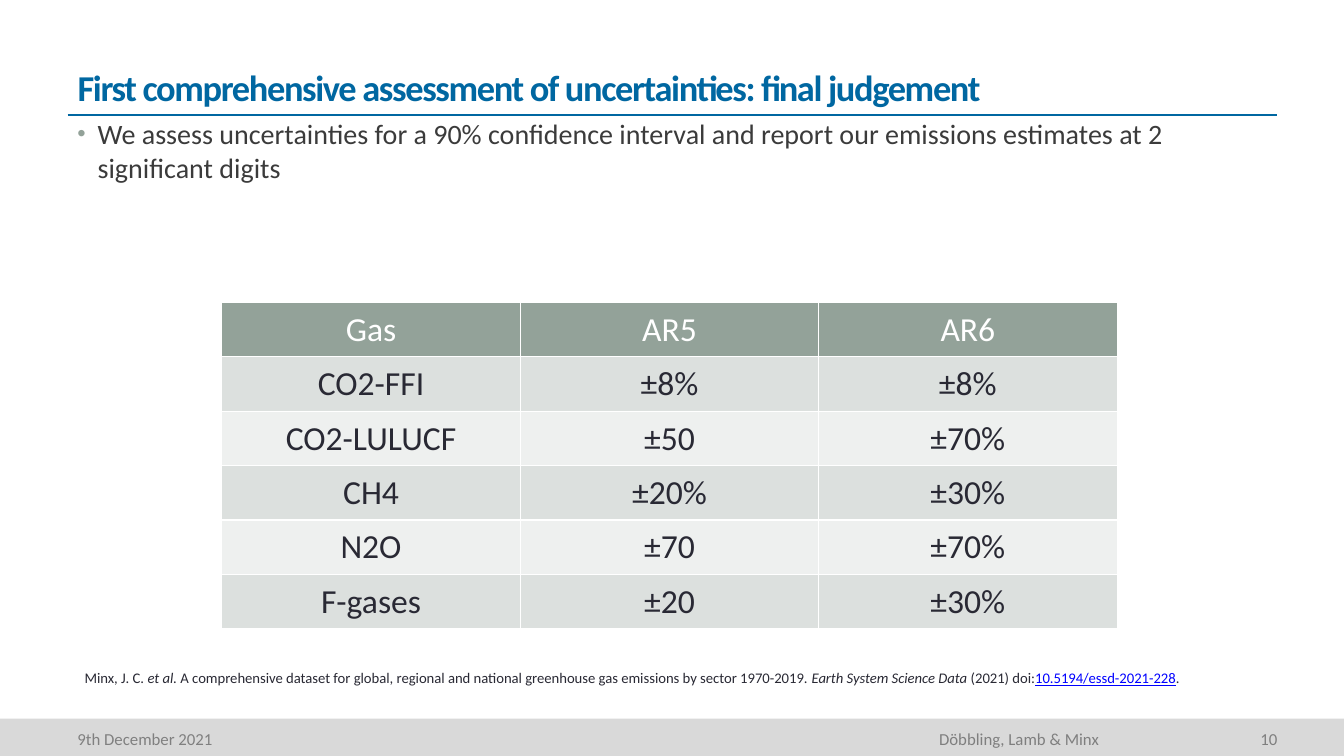
from lxml.etree import SubElement
from pptx import Presentation
from pptx.dml.color import RGBColor
from pptx.enum.shapes import MSO_CONNECTOR, MSO_SHAPE
from pptx.enum.text import MSO_ANCHOR, PP_ALIGN
from pptx.oxml.ns import qn
from pptx.util import Inches, Pt

BLUE, SAGE, INK, GREY = "0067A1", "93A299", "292934", "7F7F7F"
BANDS = ("EEF0EF", "DCE0DE")


def color(code):
    return RGBColor.from_string(code)


def write(para, text, size=12, tint=INK, bold=False, italic=False,
          under=False, track=0, align=PP_ALIGN.LEFT, font="Calibri"):
    para.alignment = align
    run = para.add_run()
    run.text = text
    style = run.font
    style.name, style.size, style.color.rgb = font, Pt(size), color(tint)
    style.bold, style.italic, style.underline = bold, italic, under
    if track:
        run._r.get_or_add_rPr().set("spc", str(track))


def bullet(para, mark, tint, scale, indent):
    props = para._p.get_or_add_pPr()
    props.set("marL", str(Inches(indent)))
    props.set("indent", str(-Inches(indent)))
    shade = SubElement(props, qn("a:buClr"))
    SubElement(shade, qn("a:srgbClr")).set("val", tint)
    SubElement(props, qn("a:buSzPct")).set("val", str(scale * 1000))
    SubElement(props, qn("a:buFont")).set("typeface", "Arial")
    SubElement(props, qn("a:buChar")).set("char", mark)


def border(cell, tint, width):
    props = cell._tc.get_or_add_tcPr()
    for spot, side in enumerate(("a:lnL", "a:lnR", "a:lnT", "a:lnB")):
        line = SubElement(props, qn(side), w=str(Pt(width)))
        fill = SubElement(line, qn("a:solidFill"))
        SubElement(fill, qn("a:srgbClr")).set("val", tint)
        props.insert(spot, line)


class Page:
    def __init__(self, deck):
        self.slide = deck.slides.add_slide(deck.slide_layouts[5])
        self.shapes = self.slide.shapes

    def title(self, text, x, y, w, h):
        box = self.shapes.title
        box.left, box.top, box.width, box.height = map(Inches, (x, y, w, h))
        frame = box.text_frame
        frame.word_wrap = True
        frame.vertical_anchor = MSO_ANCHOR.BOTTOM
        write(frame.paragraphs[0], text, size=26, tint=BLUE, bold=True, track=-100)

    def bar(self, x, y, w, h, fill):
        shape = self.shapes.add_shape(MSO_SHAPE.RECTANGLE, *map(Inches, (x, y, w, h)))
        shape.shadow.inherit = False
        shape.fill.solid()
        shape.fill.fore_color.rgb = color(fill)
        shape.line.fill.background()

    def rule(self, x, y, w, tint):
        line = self.shapes.add_connector(
            MSO_CONNECTOR.STRAIGHT, *map(Inches, (x, y, x + w, y)))
        line.line.color.rgb = color(tint)
        line.line.width = Pt(1)
        SubElement(line._element.spPr, qn("a:effectLst"))

    def text(self, x, y, w, h, anchor=MSO_ANCHOR.TOP, right=0.1, wrap=True):
        frame = self.shapes.add_textbox(*map(Inches, (x, y, w, h))).text_frame
        frame.word_wrap = wrap
        frame.vertical_anchor = anchor
        frame.margin_right = Inches(right)
        return frame.paragraphs[0]

    def table(self, rows, x, y, w, high):
        table = self.shapes.add_table(
            len(rows), len(rows[0]), *map(Inches, (x, y, w, high * len(rows)))).table
        for i, row in enumerate(rows):
            table.rows[i].height = Inches(high)
            for j, value in enumerate(row):
                cell = table.cell(i, j)
                cell.margin_left = cell.margin_right = Inches(0.13)
                cell.margin_top, cell.margin_bottom = Inches(0.07), Inches(0.06)
                cell.fill.solid()
                cell.fill.fore_color.rgb = color(BANDS[i % 2] if i else SAGE)
                border(cell, "FFFFFF", 1)
                write(cell.text_frame.paragraphs[0], value, size=24,
                      tint=INK if i else "FFFFFF", align=PP_ALIGN.CENTER)


def main():
    deck = Presentation()
    deck.slide_width, deck.slide_height = Inches(13.33), Inches(7.5)
    page = Page(deck)

    # Footer
    page.bar(0, 7.13, 13.33, 0.37, "D9D9D9")
    mid, right = MSO_ANCHOR.MIDDLE, PP_ALIGN.RIGHT
    write(page.text(0.67, 7.15, 4.22, 0.36, mid), "9th December 2021", tint="808080")
    write(page.text(5, 7.15, 6, 0.36, mid), "Döbbling, Lamb & Minx",
          tint=GREY, align=right)
    write(page.text(11.11, 7.15, 1.56, 0.35, mid, right=0), "10",
          tint=GREY, align=right)

    # Heading
    page.title("First comprehensive assessment of uncertainties: final judgement",
               0.67, 0.05, 12, 1.08)
    page.rule(0.67, 1.14, 12, BLUE)

    # Key message
    point = page.text(0.67, 1.11, 12, 1.25)
    bullet(point, "•", SAGE, 85, 0.2)
    write(point, "We assess uncertainties for a 90% confidence interval and report "
          "our emissions estimates at 2 significant digits", size=20, tint="3B3B3B")

    # Uncertainty by gas
    page.table([
        ("Gas", "AR5", "AR6"),
        ("CO2-FFI", "±8%", "±8%"),
        ("CO2-LULUCF", "±50", "±70%"),
        ("CH4", "±20%", "±30%"),
        ("N2O", "±70", "±70%"),
        ("F-gases", "±20", "±30%"),
    ], 2.2, 3, 8.88, 0.54)

    # Citation
    cite = page.text(0.74, 6.59, 11.28, 0.28, wrap=False)
    for part, look in (
        ("Minx, J. C. ", {}),
        ("et al.", {"italic": True}),
        (" A comprehensive dataset for global, regional and national greenhouse "
         "gas emissions by sector 1970-2019. ", {}),
        ("Earth System Science Data", {"italic": True}),
        (" (2021) doi:", {}),
        ("10.5194/essd-2021-228", {"tint": "0000FF", "under": True}),
        (".", {}),
    ):
        write(cite, part, size=10.5, **look)

    deck.save("out.pptx")


if __name__ == "__main__":
    main()
